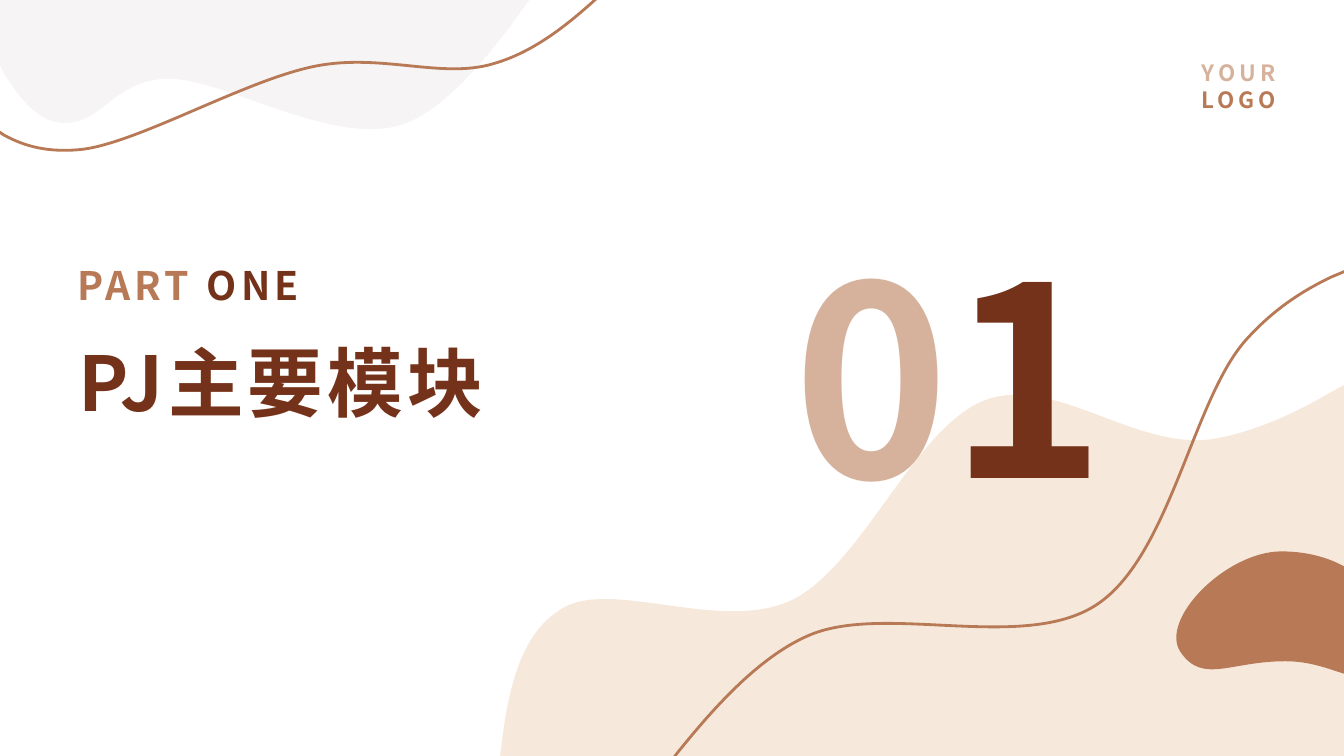
"""Build the section-opener slide for part one, with its organic waves and large number."""
from dataclasses import dataclass

import lxml.etree
import pptx
import pptx.dml.color
import pptx.enum.text
import pptx.oxml.ns
import pptx.shapes.autoshape
import pptx.slide
import pptx.util

EMU_PER_PX = 9144
Align = pptx.enum.text.PP_ALIGN
qn = pptx.oxml.ns.qn


@dataclass(frozen=True)
class Theme:
    """Colours, font and type sizes of the slide."""
    mist: str = "F6F4F5"
    cream: str = "F6E9DB"
    clay: str = "B87A56"
    blush: str = "D6B29D"
    umber: str = "75321A"
    font: str = "Noto Sans CJK SC"
    number_size: int = 189
    title_size: int = 54
    part_size: int = 28
    logo_size: int = 16
    outline_width: int = 2


THEME = Theme()


@dataclass(frozen=True)
class Wave:
    """A closed outline in px within a box: two numbers make a line, six a cubic curve."""
    box: tuple[int, int, int, int]
    segments: tuple[tuple[int, ...], ...]
    fill: str | None = None
    line: str | None = None


@dataclass(frozen=True)
class Run:
    """A piece of text in one colour."""
    text: str
    color: str


WAVES = (
    Wave((0, 0, 525, 128),
         ((0, 0), (525, 0), (522, 4),
          (488, 52, 442, 109, 400, 123), (334, 147, 224, 79, 169, 78),
          (113, 78, 104, 121, 65, 122), (40, 122, 23, 102, 6, 76), (0, 65)),
         fill=THEME.mist),
    Wave((-5, -6, 601, 155),
         ((-5, -6), (596, -6), (590, 0),
          (560, 27, 528, 52, 490, 63), (438, 79, 378, 52, 311, 66),
          (243, 80, 140, 140, 83, 148), (48, 152, 24, 145, 4, 134), (-5, 128)),
         line=THEME.clay),
    Wave((496, 382, 837, 371),
         ((1333, 382), (1333, 753), (496, 753), (496, 751),
          (503, 689, 514, 630, 557, 604), (606, 573, 716, 629, 786, 595),
          (856, 560, 907, 424, 977, 397), (1047, 371, 1128, 449, 1206, 435),
          (1244, 428, 1283, 411, 1322, 388)),
         fill=THEME.cream),
    Wave((665, 267, 674, 489),
         ((1339, 267), (1339, 756), (665, 756), (671, 748),
          (704, 707, 751, 652, 803, 630), (879, 598, 1017, 648, 1089, 599),
          (1161, 550, 1183, 396, 1236, 337), (1263, 307, 1291, 289, 1320, 275)),
         line=THEME.clay),
    Wave((1167, 547, 206, 125),
         ((1171, 647), (1149, 615, 1216, 547, 1271, 547),
          (1327, 547, 1383, 578, 1371, 647), (1359, 697, 1331, 656, 1275, 656),
          (1220, 656, 1193, 679, 1171, 647)),
         fill=THEME.clay),
)


def px(length: int) -> pptx.util.Emu:
    """Convert px to EMU."""
    return pptx.util.Emu(length * EMU_PER_PX)


def rgb(color: str) -> pptx.dml.color.RGBColor:
    """Convert a hex string to a colour."""
    return pptx.dml.color.RGBColor.from_string(color)


def trace_outline(shape: pptx.shapes.autoshape.Shape, wave: Wave) -> None:
    """Give a freeform the lines and cubic curves of a wave."""
    left, top = wave.box[:2]
    outline = next(shape._element.iter(qn("a:path")))
    for child in list(outline):
        outline.remove(child)
    for index, segment in enumerate(wave.segments):
        tag = "a:cubicBezTo" if len(segment) == 6 else "a:lnTo" if index else "a:moveTo"
        command = lxml.etree.SubElement(outline, qn(tag))
        for x, y in zip(segment[::2], segment[1::2]):
            lxml.etree.SubElement(command, qn("a:pt"), x=str(x - left), y=str(y - top))
    lxml.etree.SubElement(outline, qn("a:close"))


def add_wave(slide: pptx.slide.Slide, wave: Wave) -> None:
    """Draw one wave as a filled or outlined freeform."""
    left, top, width, height = wave.box
    right, bottom = left + width, top + height
    builder = slide.shapes.build_freeform(left, top, scale=EMU_PER_PX)
    builder.add_line_segments([(right, top), (right, bottom), (left, bottom)])
    shape = builder.convert_to_shape()
    trace_outline(shape, wave)
    shape.shadow.inherit = False
    if wave.fill:
        shape.fill.solid()
        shape.fill.fore_color.rgb = rgb(wave.fill)
    else:
        shape.fill.background()
    if wave.line:
        shape.line.color.rgb = rgb(wave.line)
        shape.line.width = pptx.util.Pt(THEME.outline_width)
    else:
        shape.line.fill.background()


def add_text(slide: pptx.slide.Slide, lines: list[list[Run]], *, left: int, top: int, width: int,
             height: int, size: int, spacing: int = 0, align: Align = Align.LEFT) -> None:
    """Add a bold text box with one paragraph per line of runs."""
    frame = slide.shapes.add_textbox(px(left), px(top), px(width), px(height)).text_frame
    frame.word_wrap = True
    for index, runs in enumerate(lines):
        paragraph = frame.add_paragraph() if index else frame.paragraphs[0]
        paragraph.alignment = align
        for piece in runs:
            run = paragraph.add_run()
            run.text = piece.text
            run.font.name = THEME.font
            run.font.size = pptx.util.Pt(size)
            run.font.bold = True
            run.font.color.rgb = rgb(piece.color)
            properties = run.font._element
            if spacing:
                properties.set("spc", str(spacing * 100))
            lxml.etree.SubElement(properties, qn("a:ea"), typeface=THEME.font)


def main() -> None:
    """Build and save the slide."""
    presentation = pptx.Presentation()
    presentation.slide_width, presentation.slide_height = px(1333), px(750)
    slide = presentation.slides.add_slide(presentation.slide_layouts[6])
    for wave in WAVES:
        add_wave(slide, wave)
    add_text(slide, [[Run("PJ主要模块", THEME.umber)]],
             left=68, top=328, width=588, height=192, size=THEME.title_size, spacing=3)
    add_text(slide, [[Run("YOUR", THEME.blush)], [Run("LOGO", THEME.clay)]],
             left=1166, top=54, width=125, height=64, size=THEME.logo_size, spacing=3,
             align=Align.CENTER)
    add_text(slide, [[Run("0", THEME.blush), Run("1", THEME.umber)]],
             left=777, top=207, width=389, height=328, size=THEME.number_size)
    add_text(slide, [[Run("PART ", THEME.clay), Run("ONE", THEME.umber)]],
             left=67, top=254, width=321, height=57, size=THEME.part_size, spacing=3,
             align=Align.JUSTIFY)
    presentation.save("out.pptx")


if __name__ == "__main__":
    main()
